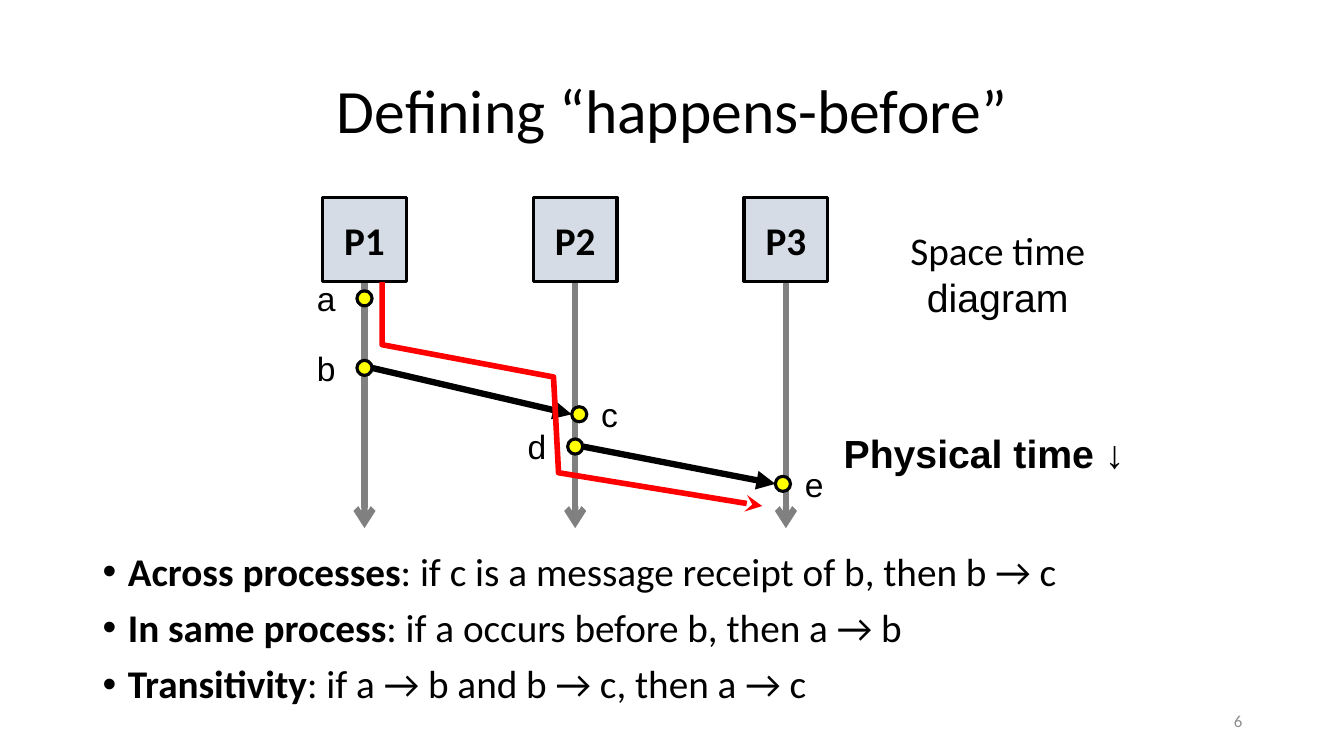
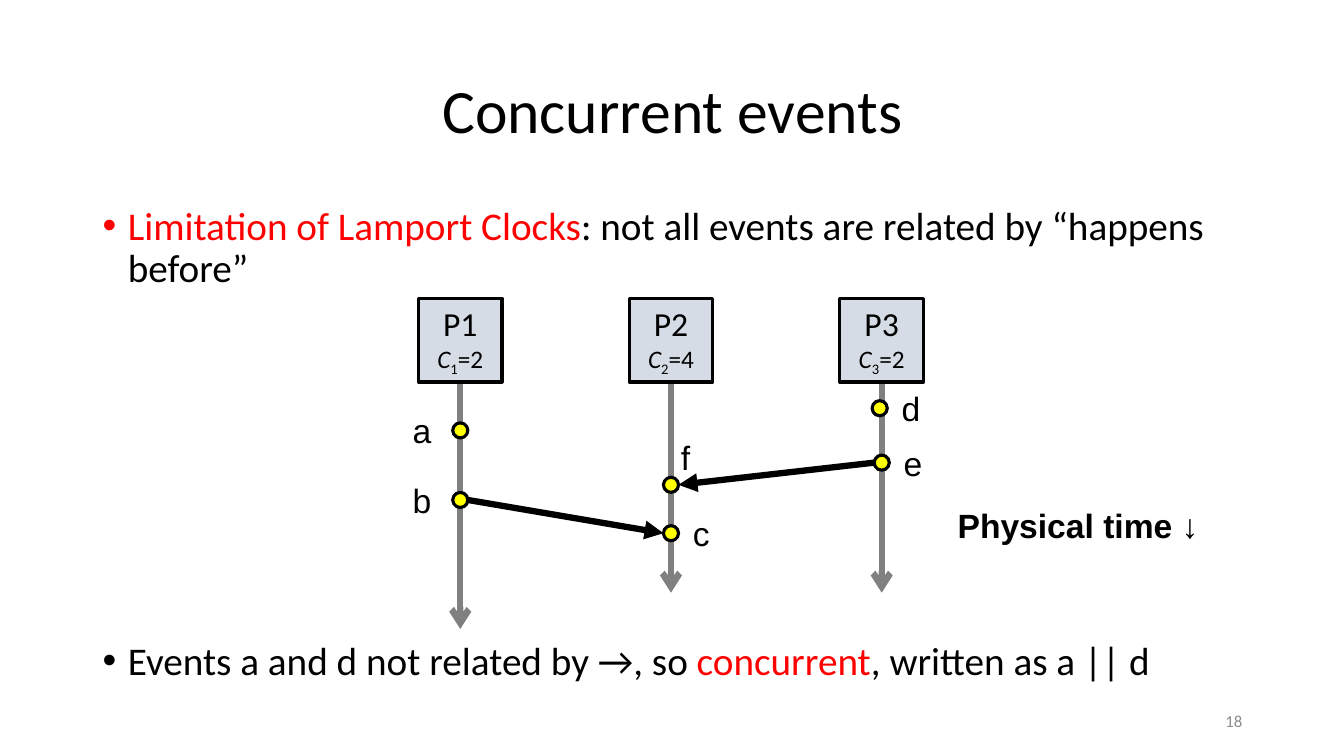
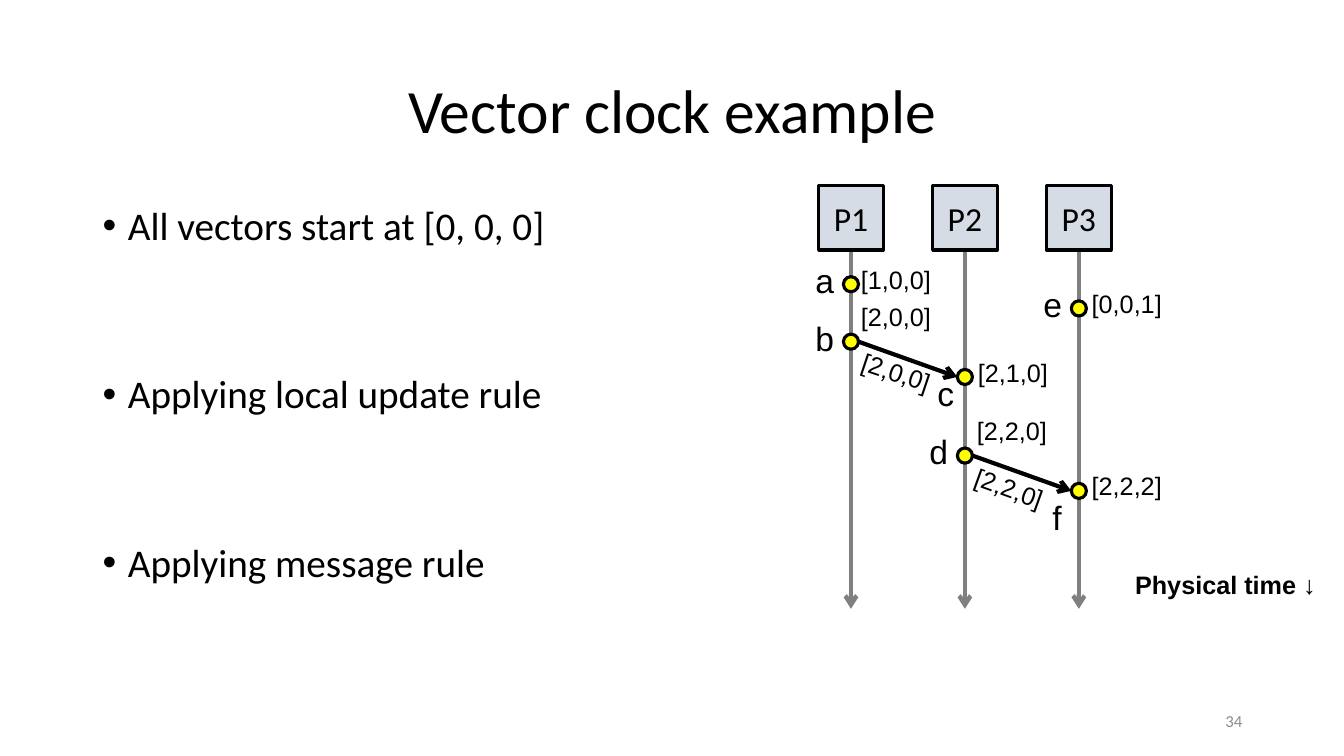
from dataclasses import dataclass

from lxml import etree
from pptx import Presentation
from pptx.dml.color import RGBColor
from pptx.enum import shapes, text
from pptx.oxml import ns
from pptx.util import Inches, Pt

BLACK = RGBColor(0x00, 0x00, 0x00)
RED = RGBColor(0xFF, 0x00, 0x00)
YELLOW = RGBColor(0xFF, 0xFF, 0x00)
GRAY = RGBColor(0x80, 0x80, 0x80)
NUMBER_GRAY = RGBColor(0x8C, 0x8C, 0x8C)
PROCESS_FILL = RGBColor(0xD6, 0xDC, 0xE5)
HEADING_FONT = "Calibri"
LABEL_FONT = "Arial"

TITLE_BOX = (0.92, 0.4, 11.5, 1.45)
NUMBER_BOX = (9.42, 6.95, 3, 0.4)
DOT = 0.15
LABEL_WIDTH, LABEL_HEIGHT = 0.5, 0.5
STAMP_WIDTH, STAMP_HEIGHT = 1.0, 0.44
LEFT, RIGHT = (-0.57, 0), (0.12, 0)

CENTER = text.PP_ALIGN.CENTER
MIDDLE = text.MSO_ANCHOR.MIDDLE
TOP = text.MSO_ANCHOR.TOP


@dataclass
class Event:
    """A dot on a process line; label and stamp are offsets from its centre."""
    name: str
    column: int
    drop: float
    label: tuple
    nudge: float = 0
    vector: str = ""
    stamp: tuple = (0.03, -0.05)


def fill_paragraph(para, spans, size, font, color, bold):
    for item in spans:
        words, look = (item, {}) if isinstance(item, str) else item
        span = para.add_run()
        span.text = words
        span.font.size = Pt(look.get("size", size))
        span.font.name = look.get("font", font)
        span.font.color.rgb = look.get("color", color)
        span.font.bold = look.get("bold", bold)
        span.font.italic = look.get("italic", False)
        if look.get("subscript"):
            span._r.get_or_add_rPr().set("baseline", "-25000")


def write(shape, paras, size=24, font=LABEL_FONT, color=BLACK, bold=False,
          align=text.PP_ALIGN.LEFT, anchor=MIDDLE, spacing=None, gap=0,
          bullet=False):
    """Fill a shape with paragraphs, each a list of strings or (string, look)."""
    frame = shape.text_frame
    frame.word_wrap = True
    frame.vertical_anchor = anchor
    for index, spans in enumerate(paras):
        para = frame.paragraphs[0] if index == 0 else frame.add_paragraph()
        para.alignment = align
        if bullet:
            props = para._p.get_or_add_pPr()
            props.set("marL", str(Inches(0.25)))
            props.set("indent", str(Inches(-0.25)))
            etree.SubElement(props, ns.qn("a:buFont")).set("typeface", "Arial")
            etree.SubElement(props, ns.qn("a:buChar")).set("char", "•")
        if spacing:
            para.line_spacing = spacing
        if index and gap:
            para.space_before = Pt(gap)
        fill_paragraph(para, spans, size, font, color, bold)


def text_box(page, area, paras, **look):
    box = page.shapes.add_textbox(*map(Inches, area))
    write(box, paras, **look)
    return box


def style_line(line, color, width, head=None):
    line.color.rgb = color
    line.width = Pt(width)
    if head:
        tail = etree.SubElement(line._get_or_add_ln(), ns.qn("a:tailEnd"))
        tail.set("type", head)


def arrow(page, start, end, color, width, head):
    link = page.shapes.add_connector(
        shapes.MSO_CONNECTOR.STRAIGHT, *map(Inches, (*start, *end)))
    style_line(link.line, color, width, head)
    etree.SubElement(link._element.spPr, ns.qn("a:effectLst"))


def outlined_shape(page, kind, area, fill):
    shape = page.shapes.add_shape(kind, *map(Inches, area))
    shape.shadow.inherit = False
    shape.fill.solid()
    shape.fill.fore_color.rgb = fill
    style_line(shape.line, BLACK, 2.25)
    return shape


def add_page(deck, title, number):
    page = deck.slides.add_slide(deck.slide_layouts[6])
    text_box(page, TITLE_BOX, [[title]], size=44, font=HEADING_FONT,
             align=CENTER, spacing=0.9)
    text_box(page, NUMBER_BOX, [[str(number)]], size=12, font=HEADING_FONT,
             color=NUMBER_GRAY, align=text.PP_ALIGN.RIGHT)
    return page


def bullets(page, area, paras, gap=10):
    text_box(page, area, paras, size=28, font=HEADING_FONT, anchor=TOP,
             spacing=0.9, gap=gap, bullet=True)


def space_time(page, left, top, processes, ends, events, messages, side=0.83,
               pitch=2.09, width=4.5, head="triangle", size=24, bold=False):
    """Process boxes with their time lines, messages and events."""
    for column, (paras, end) in enumerate(zip(processes, ends)):
        x = left + column * pitch
        middle = x + side / 2
        arrow(page, (middle, top + side), (middle, top + end),
              GRAY, width, "arrow")
        box = outlined_shape(page, shapes.MSO_SHAPE.FLOWCHART_PROCESS,
                             (x, top, side, side), PROCESS_FILL)
        write(box, paras, size=size, font=HEADING_FONT, bold=bold, align=CENTER)

    centers = {
        event.name: (left + event.column * pitch + side / 2 + event.nudge,
                     top + event.drop)
        for event in events}
    for sender, receiver in messages:
        (x1, y1), (x2, y2) = centers[sender], centers[receiver]
        edge = DOT / 2 if x2 > x1 else -DOT / 2
        arrow(page, (x1 + edge, y1), (x2 - edge, y2), BLACK, width, head)

    for event in events:
        x, y = centers[event.name]
        outlined_shape(page, shapes.MSO_SHAPE.OVAL,
                       (x - DOT / 2, y - DOT / 2, DOT, DOT), YELLOW)
        dx, dy = event.label
        text_box(page, (x + dx, y + dy - LABEL_HEIGHT / 2,
                        LABEL_WIDTH, LABEL_HEIGHT), [[event.name]])
        if event.vector:
            dx, dy = event.stamp
            text_box(page, (x + dx, y + dy - STAMP_HEIGHT / 2,
                            STAMP_WIDTH, STAMP_HEIGHT), [[event.vector]], size=18)


def time_caption(page, area, size):
    text_box(page, area, [["Physical time ↓"]], size=size, bold=True)


def causal_path(page, left, top, points):
    """Red arrow through points given relative to left and top."""
    start, *rest = [(Inches(left + x), Inches(top + y)) for x, y in points]
    builder = page.shapes.build_freeform(*start)
    builder.add_line_segments(rest, close=False)
    shape = builder.convert_to_shape()
    shape.shadow.inherit = False
    shape.fill.background()
    style_line(shape.line, RED, 4, "stealth")


def happens_before_page(deck):
    page = add_page(deck, "Defining “happens-before”", 6)
    strong = {"bold": True}
    bullets(page, (0.92, 5.43, 11.5, 1.71), [
        [("Across processes", strong),
         ": if c is a message receipt of b, then b → c"],
        [("In same process", strong), ": if a occurs before b, then a → b"],
        [("Transitivity", strong), ": if a → b and b → c, then a → c"],
    ])
    left, top = 3.2, 1.96
    events = [
        Event("a", 0, 1.0, LEFT),
        Event("b", 0, 1.69, LEFT),
        Event("c", 1, 2.15, RIGHT, nudge=0.04),
        Event("d", 1, 2.47, LEFT),
        Event("e", 2, 2.84, RIGHT, nudge=-0.03),
    ]
    space_time(page, left, top, [[["P1"]], [["P2"]], [["P3"]]], [3.28] * 3,
               events, ["bc", "de"], size=28, bold=True)
    causal_path(page, left, top, [(0.59, 0.84), (0.59, 1.46), (2.29, 1.78),
                                  (2.34, 2.73), (4.36, 3.06)])
    time_caption(page, (8.27, 4.21, 3.2, 0.57), 28)
    text_box(page, (8.04, 2.2, 3.71, 1.04),
             [[("Space time", {"font": HEADING_FONT})], ["diagram"]],
             size=28, align=CENTER, anchor=TOP)


def concurrent_page(deck):
    page = add_page(deck, "Concurrent events", 18)
    alert = {"color": RED}
    bullets(page, (0.92, 2, 11.16, 5.14), [
        [("Limitation of Lamport Clocks", alert),
         ": not all events are related by “happens before”"],
        ["Events a and d not related by →, so ", ("concurrent", alert),
         ", written as a || d"],
    ], gap=250)
    processes = [
        [[f"P{number}"],
         [("C", {"size": 18, "italic": True}),
          (str(number), {"size": 18, "subscript": True}),
          (f"={clock}", {"size": 18})]]
        for number, clock in enumerate((2, 4, 2), start=1)]
    events = [
        Event("a", 0, 1.31, LEFT),
        Event("b", 0, 2.0, LEFT),
        Event("c", 1, 2.33, RIGHT),
        Event("d", 2, 1.09, RIGHT, nudge=-0.02),
        Event("e", 2, 1.63, RIGHT),
        Event("f", 1, 1.85, (0, -0.28)),
    ]
    space_time(page, 4.15, 2.96, processes, [3.28, 2.92, 2.92], events,
               ["bc", "ef"])
    time_caption(page, (9.4, 4.96, 2.8, 0.5), 24)


def vector_clock_page(deck):
    page = add_page(deck, "Vector clock example", 34)
    bullets(page, (0.92, 2, 5.29, 4.76), [
        ["All vectors start at [0, 0, 0]"],
        ["Applying local update rule"],
        ["Applying message rule"],
    ], gap=90)
    left, top = 8.12, 1.84
    beside, above = (-0.45, -0.04), (0.02, -0.25)
    events = [
        Event("a", 0, 0.98, beside, vector="[1,0,0]", stamp=(0, -0.05)),
        Event("b", 0, 1.55, beside, vector="[2,0,0]", stamp=(0, -0.25)),
        Event("c", 1, 1.9, (-0.37, 0.16), vector="[2,1,0]"),
        Event("d", 1, 2.68, beside, vector="[2,2,0]", stamp=above),
        Event("e", 2, 1.22, beside, vector="[0,0,1]"),
        Event("f", 2, 3.03, (-0.36, 0.26), vector="[2,2,2]"),
    ]
    space_time(page, left, top, [[["P1"]], [["P2"]], [["P3"]]], [4.2] * 3,
               events, ["bc", "df"], side=0.64, pitch=1.13, width=3,
               head="arrow")
    for vector, x, y, angle in (("[2,0,0]", 0.27, 1.65, 18.5),
                                ("[2,2,0]", 1.39, 2.8, 19.8)):
        box = text_box(page, (left + x, top + y, STAMP_WIDTH, 0.4), [[vector]],
                       size=18, align=CENTER)
        box.rotation = angle
    time_caption(page, (11.16, 5.6, 2.1, 0.4), 18)


def main():
    deck = Presentation()
    deck.slide_width, deck.slide_height = Inches(13.33), Inches(7.5)
    happens_before_page(deck)
    concurrent_page(deck)
    vector_clock_page(deck)
    deck.save("out.pptx")


if __name__ == "__main__":
    main()
